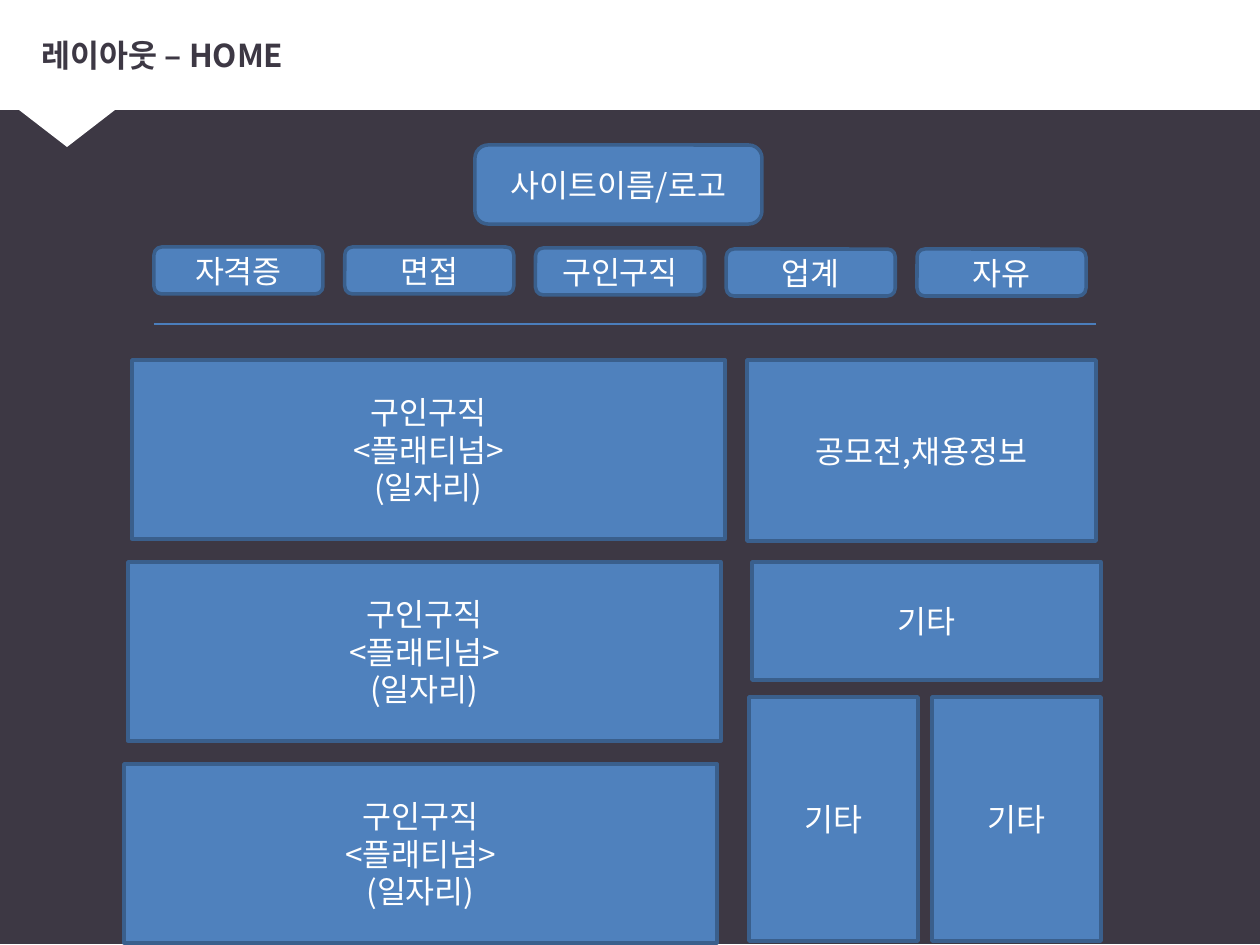
from pptx import Presentation
from pptx.dml.color import RGBColor
from pptx.enum.shapes import MSO_CONNECTOR, MSO_SHAPE
from pptx.enum.text import MSO_ANCHOR, MSO_AUTO_SIZE, PP_ALIGN
from pptx.oxml.ns import qn
from pptx.util import Inches, Pt
from lxml.etree import SubElement

PX = Inches(1) / 126
FONT = "Noto Sans CJK KR"
DARK = RGBColor(0x3D, 0x38, 0x44)
WHITE = RGBColor(0xFF, 0xFF, 0xFF)
BLUE = RGBColor(0x4F, 0x81, 0xBD)
BORDER = RGBColor(0x3A, 0x5F, 0x8C)
RULE = RGBColor(0x4B, 0x7E, 0xBC)

BLOCK_FONT = {"name": FONT, "size": Pt(18), "bold": False}
TITLE_FONT = {"name": FONT, "size": Pt(18), "bold": True}
CENTERED = {"word_wrap": True, "vertical_anchor": MSO_ANCHOR.MIDDLE}
TITLE_FRAME = {**CENTERED, "auto_size": MSO_AUTO_SIZE.NONE}


def emu(*pixels):
    return [round(p * PX) for p in pixels]


def apply(target, values):
    for key, value in values.items():
        setattr(target, key, value)


def write(frame, text, frame_values, font_values, color, align):
    apply(frame, frame_values)
    frame.text = text
    for paragraph in frame.paragraphs:
        paragraph.alignment = align
        for run in paragraph.runs:
            apply(run.font, font_values)
            run.font.color.rgb = color
            SubElement(run.font._element, qn("a:ea"), typeface=FONT)


def add_panel(slide, kind, box, color):
    panel = slide.shapes.add_shape(kind, *emu(*box))
    panel.shadow.inherit = False
    panel.fill.solid()
    panel.fill.fore_color.rgb = color
    panel.line.fill.background()
    return panel


def add_block(slide, box, text, kind=MSO_SHAPE.RECTANGLE):
    block = add_panel(slide, kind, box, BLUE)
    block.line.color.rgb = BORDER
    block.line.width = Pt(2)
    write(block.text_frame, text, CENTERED, BLOCK_FONT, WHITE, PP_ALIGN.CENTER)


def add_header(slide, box, text):
    left, top, width, height = box
    add_panel(slide, MSO_SHAPE.RECTANGLE, box, WHITE)
    pointer_box = (left - 21, top + 79, 184, 71)
    pointer = add_panel(slide, MSO_SHAPE.ISOSCELES_TRIANGLE, pointer_box, WHITE)
    pointer.rotation = 180
    title = slide.shapes.title
    slide.shapes._spTree.append(title._element)
    places = emu(left + 33, top + 19, width - 64, height - 35)
    apply(title, dict(zip(("left", "top", "width", "height"), places)))
    write(title.text_frame, text, TITLE_FRAME, TITLE_FONT, DARK, PP_ALIGN.LEFT)


def add_menu(slide, box, labels):
    left, top, width, height = box
    item_width = 169
    step = (width - item_width) / (len(labels) - 1)
    for i, label in enumerate(labels):
        item_box = (left + i * step, top + i * 2 // 3, item_width, height)
        add_block(slide, item_box, label, MSO_SHAPE.ROUNDED_RECTANGLE)


def add_divider(slide, left, right, top):
    divider = slide.shapes.add_connector(
        MSO_CONNECTOR.STRAIGHT, *emu(left, top, right, top))
    divider.line.color.rgb = RULE
    divider.line.width = Pt(0.75)
    SubElement(divider._element.spPr, qn("a:effectLst"))


def add_job_column(slide, box, text, count):
    left, top, width, height = box
    for i in range(count):
        add_block(slide, (left - 4 * i, top + 202 * i, width, height), text)


def add_side_column(slide, left, top):
    add_block(slide, (left, top, 349, 181), "공모전,채용정보")
    add_block(slide, (left + 5, top + 202, 349, 118), "기타")
    for offset in (2, 185):
        add_block(slide, (left + offset, top + 337, 169, 244), "기타")


deck = Presentation()
deck.slide_width, deck.slide_height = emu(1260, 945)
home = deck.slides.add_slide(deck.slide_layouts[5])
add_panel(home, MSO_SHAPE.RECTANGLE, (0, -1, 1278, 945), DARK)
add_header(home, (-4, -3, 1281, 113), "레이아웃 – HOME")
add_block(home, (475, 145, 287, 79), "사이트이름/로고", MSO_SHAPE.ROUNDED_RECTANGLE)
add_menu(home, (154, 247, 932, 47), ["자격증", "면접", "구인구직", "업계", "자유"])
add_divider(home, 154, 1096, 324)
add_job_column(home, (132, 360, 593, 179), "구인구직\n<플래티넘>\n(일자리)", 3)
add_side_column(home, 747, 360)
deck.save("out.pptx")
